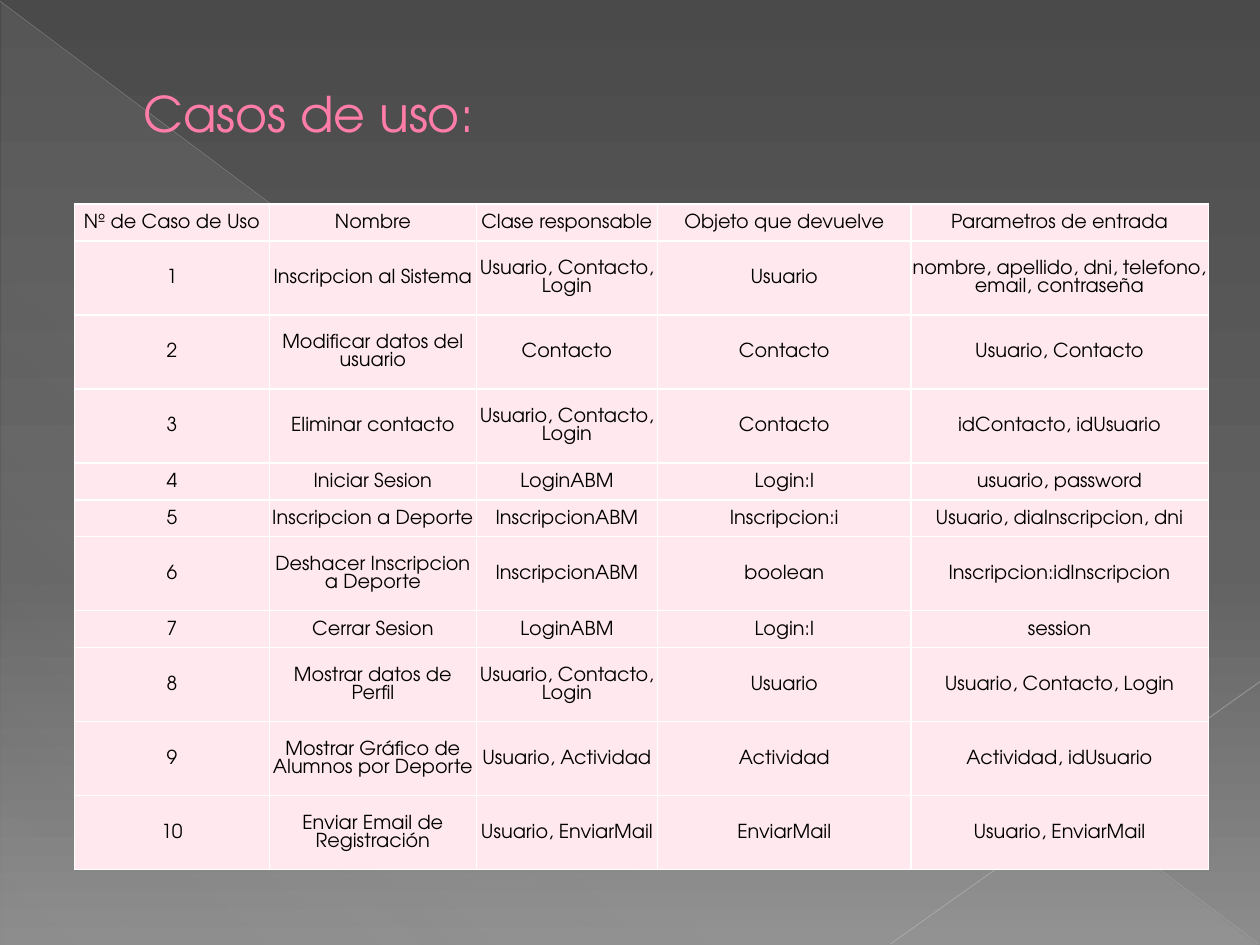
"""Build the use case table slide."""
from dataclasses import dataclass

from lxml import etree
from pptx import Presentation, util as u
from pptx.dml.color import RGBColor
from pptx.enum import shapes, text
from pptx.oxml.ns import qn

FONT = "TeX Gyre Adventor"
COLUMN_WIDTHS = (1.55, 1.64, 1.44, 2.01, 2.36)
ROW_UNIT = 5.28 / 18
HEADERS = ("Nº de Caso de Uso", "Nombre", "Clase responsable",
           "Objeto que devuelve", "Parametros de entrada")


@dataclass
class UseCase:
    name: str
    owner: str
    result: str
    inputs: str
    units: int = 2


@dataclass
class Ray:
    start: tuple[float, float]
    end: tuple[float, float]
    color: str
    width: float
    opacity: int


USE_CASES = [
    UseCase("Inscripcion al Sistema", "Usuario, Contacto, Login", "Usuario",
            "nombre, apellido, dni, telefono, email, contraseña"),
    UseCase("Modificar datos del usuario", "Contacto", "Contacto", "Usuario, Contacto"),
    UseCase("Eliminar contacto", "Usuario, Contacto, Login", "Contacto",
            "idContacto, idUsuario"),
    UseCase("Iniciar Sesion", "LoginABM", "Login:l", "usuario, password", 1),
    UseCase("Inscripcion a Deporte", "InscripcionABM", "Inscripcion:i",
            "Usuario, diaInscripcion, dni", 1),
    UseCase("Deshacer Inscripcion a Deporte", "InscripcionABM", "boolean",
            "Inscripcion:idInscripcion"),
    UseCase("Cerrar Sesion", "LoginABM", "Login:l", "session", 1),
    UseCase("Mostrar datos de Perfil", "Usuario, Contacto, Login", "Usuario",
            "Usuario, Contacto, Login"),
    UseCase("Mostrar Gráfico de Alumnos por Deporte", "Usuario, Actividad", "Actividad",
            "Actividad, idUsuario"),
    UseCase("Enviar Email de Registración", "Usuario, EnviarMail", "EnviarMail",
            "Usuario, EnviarMail"),
]
RAYS = [
    Ray((0, 0.01), (9.99, 7.49), "BFBFBF", 0.39, 35),
    Ray((10, 5.41), (7.07, 7.49), "C6C6C6", 0.47, 45),
]


def rgb(value: str) -> RGBColor:
    """Turn a hex string into a colour."""
    return RGBColor.from_string(value)


def add_color(parent, value: str, opacity: int = 100) -> None:
    """Append an XML colour with an opacity in percent."""
    color = etree.SubElement(parent, qn("a:srgbClr"), val=value)
    if opacity < 100:
        etree.SubElement(color, qn("a:alpha"), val=str(opacity * 1000))


def add_outline(parent, tag: str, value: str, width: float):
    """Append a solid outline with a width in points."""
    ln = etree.SubElement(parent, qn(tag), w=str(u.Pt(width)))
    add_color(etree.SubElement(ln, qn("a:solidFill")), value)
    return ln


def set_gradient(fill, element, stops: list[tuple], angle: int) -> None:
    """Fill an element with a linear gradient of (position, colour, opacity) stops."""
    fill.gradient()
    grad = element.xpath(".//a:gradFill")[0]
    for child in list(grad):
        grad.remove(child)
    stop_list = etree.SubElement(grad, qn("a:gsLst"))
    for position, *color in stops:
        add_color(etree.SubElement(stop_list, qn("a:gs"), pos=str(position * 1000)), *color)
    etree.SubElement(grad, qn("a:lin"), ang=str(angle * 60000), scaled="0")


def format_run(r, size: float, color: str) -> None:
    """Apply the slide font to a run."""
    for key, value in {"name": FONT, "size": u.Pt(size), "bold": False}.items():
        setattr(r.font, key, value)
    r.font.color.rgb = rgb(color)


def draw_backdrop(s) -> None:
    """Draw the gradient background, the triangle and the rays."""
    set_gradient(s.background.fill, s._element,
                 [(0, "4A4A4A"), (60, "626262"), (100, "8C8C8C")], 90)
    sp = s.shapes.add_shape(shapes.MSO_SHAPE.RIGHT_TRIANGLE,
                            *map(u.Inches, (0.01, 0.02, 9.98, 7.48)))
    sp.shadow.inherit = False
    sp.line.fill.background()
    set_gradient(sp.fill, sp._element,
                 [(0, "D2D2D2", 10), (70, "D2D2D2", 8), (100, "D2D2D2", 1)], 133)
    for ray in RAYS:
        draw_ray(s, ray)


def draw_ray(s, ray: Ray) -> None:
    """Draw one translucent line."""
    line = s.shapes.add_connector(shapes.MSO_CONNECTOR.STRAIGHT,
                                  *map(u.Inches, ray.start + ray.end))
    line.line.width = u.Pt(ray.width)
    line.line.color.rgb = rgb(ray.color)
    color = line._element.xpath(".//a:ln//a:srgbClr")[0]
    etree.SubElement(color, qn("a:alpha"), val=str(ray.opacity * 1000))
    etree.SubElement(line._element.spPr, qn("a:effectLst"))


def draw_title(s, wording: str) -> None:
    """Place and format the title above the backdrop."""
    sp = s.shapes.title
    s.shapes._spTree.append(sp._element)
    box = {"left": 0.51, "top": 0.13, "width": 9, "height": 1.53}
    for key, value in box.items():
        setattr(sp, key, u.Inches(value))
    tf = sp.text_frame
    tf.vertical_anchor = text.MSO_ANCHOR.MIDDLE
    p = tf.paragraphs[0]
    p.alignment = text.PP_ALIGN.LEFT
    p._p.get_or_add_pPr().set("marL", str(u.Inches(0.53)))
    r = p.add_run()
    r.text = wording
    format_run(r, 28, "FF7DA7")
    props = r._r.get_or_add_rPr()
    props.insert(0, add_outline(props, "a:ln", "B12761", 0.5))


def fill_cell(cell, wording: str) -> None:
    """Write and format one table cell."""
    style = {"margin_left": u.Inches(0.01), "margin_right": u.Inches(0.01),
             "margin_top": u.Inches(0.01), "margin_bottom": 0,
             "vertical_anchor": text.MSO_ANCHOR.MIDDLE}
    for key, value in style.items():
        setattr(cell, key, value)
    for side in "LRTB":
        add_outline(cell._tc.get_or_add_tcPr(), f"a:ln{side}", "FFFFFF", 1)
    cell.fill.solid()
    cell.fill.fore_color.rgb = rgb("FFE8EE")
    p = cell.text_frame.paragraphs[0]
    p.alignment = text.PP_ALIGN.CENTER
    r = p.add_run()
    r.text = wording
    format_run(r, 11, "000000")


def draw_table(s) -> None:
    """Draw the table of use cases."""
    rows = [HEADERS] + [(str(number), case.name, case.owner, case.result, case.inputs)
                        for number, case in enumerate(USE_CASES, 1)]
    units = [1] + [case.units for case in USE_CASES]
    table = s.shapes.add_table(len(rows), len(HEADERS),
                               *map(u.Inches, (0.59, 1.62, 9, 5.28))).table
    for column, width in zip(table.columns, COLUMN_WIDTHS):
        column.width = u.Inches(width)
    for row, count, wordings in zip(table.rows, units, rows):
        row.height = u.Inches(count * ROW_UNIT)
        for cell, wording in zip(row.cells, wordings):
            fill_cell(cell, wording)


def main() -> None:
    """Build and save the slide."""
    prs = Presentation()
    prs.slide_width, prs.slide_height = u.Inches(10), u.Inches(7.5)
    s = prs.slides.add_slide(prs.slide_layouts[5])
    draw_backdrop(s)
    draw_title(s, "Casos de uso:")
    draw_table(s)
    prs.save("out.pptx")


if __name__ == "__main__":
    main()
